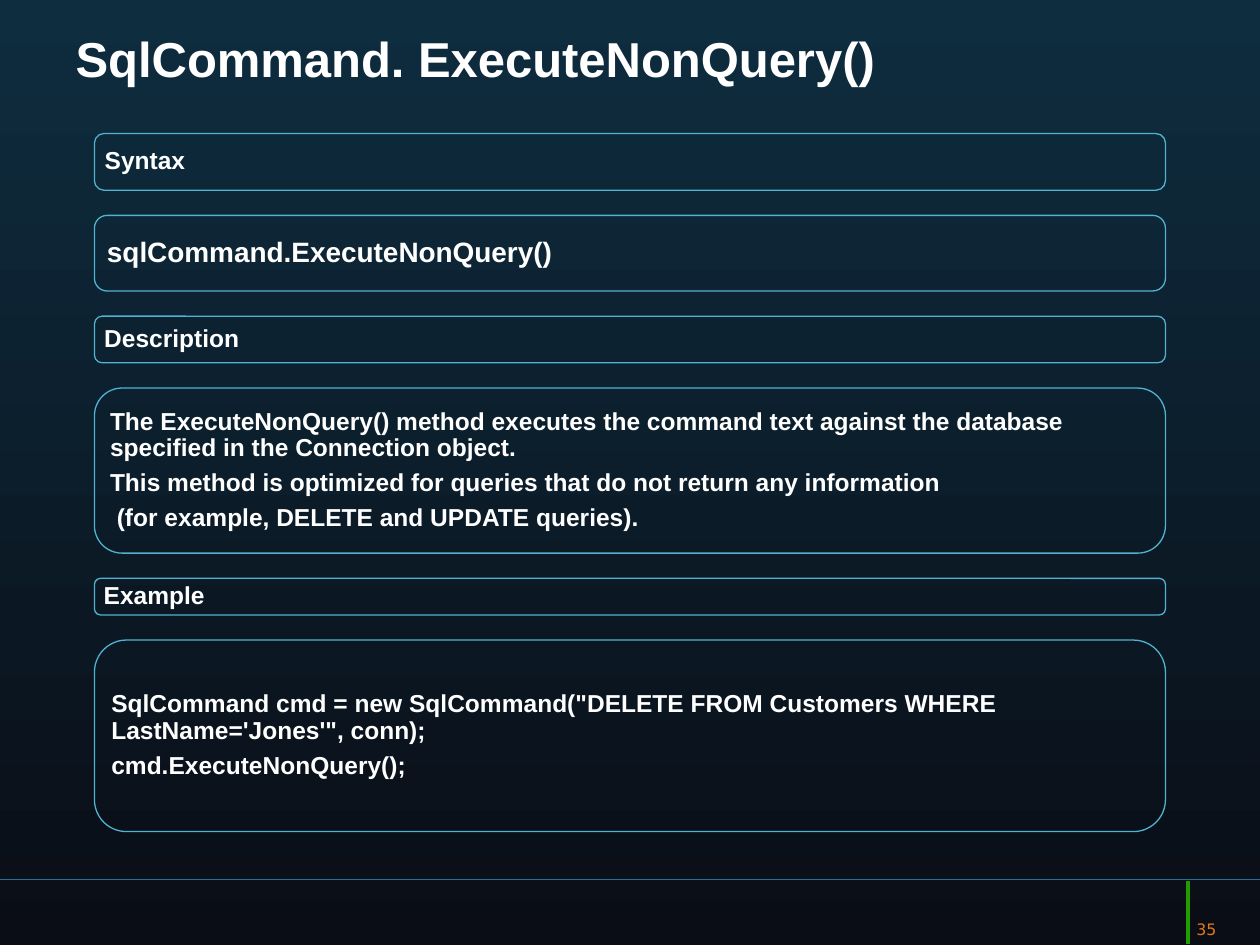
from typing import NamedTuple

from lxml import etree
from pptx import Presentation
from pptx.dml.color import RGBColor
from pptx.enum.shapes import MSO_CONNECTOR, MSO_SHAPE
from pptx.enum.text import MSO_ANCHOR, PP_ALIGN
from pptx.oxml.ns import qn
from pptx.util import Inches, Pt

LINE = MSO_CONNECTOR.STRAIGHT
ROUND = MSO_SHAPE.ROUNDED_RECTANGLE
MIDDLE = MSO_ANCHOR.MIDDLE
LEFT, CENTER = PP_ALIGN.LEFT, PP_ALIGN.CENTER

COLORS = {
    "top": "0E2D3F",
    "base": "0A0D16",
    "text": "FFFFFF",
    "frame": "50B3CF",
    "rule": "287094",
    "mark": "209D03",
    "page": "DF7A1C",
}
LEAD, WIDTH, START, GAP = 0.75, 8.5, 1.06, 0.2


class Panel(NamedTuple):
    height: float
    lines: list[str]
    size: int = 14
    inset: float = 0.06


class Rule(NamedTuple):
    x1: float
    y1: float
    x2: float
    y2: float
    color: str
    width: float


PANELS = [
    Panel(0.45, ["Syntax"]),
    Panel(0.6, ["sqlCommand.ExecuteNonQuery()"], 16, 0.07),
    Panel(0.37, ["Description"]),
    Panel(1.31, [
        "The ExecuteNonQuery() method executes the command text against "
        "the database specified in the Connection object.",
        "This method is optimized for queries that do not return any information",
        " (for example, DELETE and UPDATE queries).",
    ]),
    Panel(0.29, ["Example"]),
    Panel(1.52, [
        "SqlCommand cmd = new SqlCommand(\"DELETE FROM Customers WHERE "
        "LastName='Jones'\", conn);",
        "cmd.ExecuteNonQuery();",
    ]),
]
RULES = [
    Rule(10, 6.98, 0, 6.98, "rule", 0.75),
    Rule(9.43, 6.99, 9.43, 7.49, "mark", 2),
]


def color(name: str) -> RGBColor:
    return RGBColor.from_string(COLORS[name])


def style(para, size: int, name: str = "text", face: str = "Arial",
          bold: bool = True, align=LEFT) -> None:
    para.alignment = align
    font = para.font
    font.size, font.name, font.bold = Pt(size), face, bold
    font.color.rgb = color(name)


def draw_rule(slide, rule: Rule) -> None:
    ends = [Inches(v) for v in rule[:4]]
    line = slide.shapes.add_connector(LINE, *ends)
    line.line.color.rgb = color(rule.color)
    line.line.width = Pt(rule.width)
    etree.SubElement(line._element.spPr, qn("a:effectLst"))


def draw_panel(slide, panel: Panel, top: float) -> None:
    box = slide.shapes.add_shape(ROUND, Inches(LEAD), Inches(top),
                                 Inches(WIDTH), Inches(panel.height))
    box.shadow.inherit = False
    box.fill.background()
    box.line.color.rgb = color("frame")
    box.line.width = Pt(0.75)
    frame = box.text_frame
    frame.word_wrap = True
    frame.vertical_anchor = MIDDLE
    frame.margin_left = frame.margin_right = Inches(panel.inset)
    frame.margin_top = frame.margin_bottom = Inches(panel.inset)
    frame.text = "\n".join(panel.lines)
    for para in frame.paragraphs:
        style(para, panel.size)
        para.line_spacing = 0.9
        para.space_after = Pt(0.35 * panel.size)


def main() -> None:
    deck = Presentation()
    deck.slide_width, deck.slide_height = Inches(10), Inches(7.5)
    slide = deck.slides.add_slide(deck.slide_layouts[5])

    # Background
    fill = slide.background.fill
    fill.gradient()
    fill.gradient_angle = 270
    for stop, name, pos in zip(fill.gradient_stops, ("top", "base"), (0, 1)):
        stop.color.rgb = color(name)
        stop.position = pos

    # Footer lines
    for rule in RULES:
        draw_rule(slide, rule)

    # Title
    title = slide.shapes.title
    title.left, title.top = Inches(0.5), Inches(0.17)
    title.width, title.height = Inches(7.5), Inches(0.58)
    title.text_frame.text = "SqlCommand. ExecuteNonQuery()"
    title.text_frame.vertical_anchor = MIDDLE
    style(title.text_frame.paragraphs[0], 28)

    # Stacked panels
    top = START
    for panel in PANELS:
        draw_panel(slide, panel, top)
        top += panel.height + GAP

    # Page number
    page = slide.shapes.add_textbox(Inches(9.17), Inches(7.25),
                                    Inches(0.81), Inches(0.25))
    page.text_frame.word_wrap = True
    page.text_frame.text = "35"
    style(page.text_frame.paragraphs[0], 9, "page", "DejaVu Sans", False, CENTER)

    deck.save("out.pptx")


if __name__ == "__main__":
    main()
